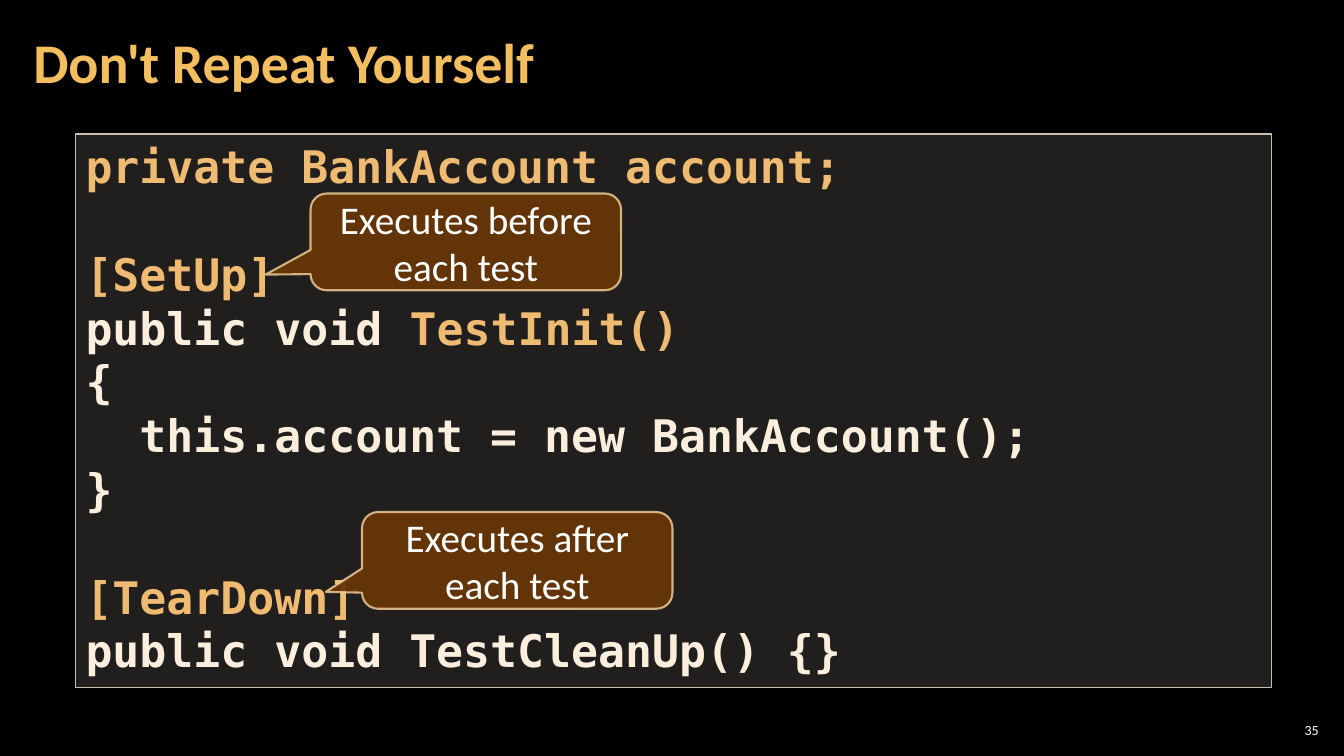
import pptx
import pptx.util
import pptx.dml.color
import pptx.enum.shapes
import pptx.enum.text
from lxml import etree

Pt, Inches = pptx.util.Pt, pptx.util.Inches
Shape = pptx.enum.shapes.MSO_SHAPE
Align = pptx.enum.text.PP_ALIGN
Anchor = pptx.enum.text.MSO_ANCHOR
GOLD, CREAM, WHITE = "EFBB72", "FBEEDC", "FFFFFF"
LINE = Pt(38.4)


def paint(target, color, alpha=100):
    """Colour a fill or a font; alpha is the opacity of a fill in percent."""
    if hasattr(target, "solid"):
        target.solid()
        tone = target.fore_color
    else:
        tone = target.color
    tone.rgb = pptx.dml.color.RGBColor.from_string(color)
    if alpha < 100:
        for node in target._xPr.iter("{*}srgbClr"):
            etree.SubElement(node, node.tag.replace("srgbClr", "alpha"), val=str(alpha * 1000))


def style(para, size, color, name="Calibri", bold=False, align=Align.LEFT):
    para.alignment = align
    para.font.size, para.font.name, para.font.bold = Pt(size), name, bold
    paint(para.font, color)


deck = pptx.Presentation()
deck.slide_width, deck.slide_height = Inches(13.33), Inches(7.5)
slide = deck.slides.add_slide(deck.slide_layouts[5])
paint(slide.background.fill, "000000")

title = slide.shapes.title
title.left, title.top, title.width, title.height = map(Inches, (0.21, 0.04, 10.47, 1.21))
frame = title.text_frame
frame.text = "Don't Repeat Yourself"
frame.vertical_anchor = Anchor.MIDDLE
frame.margin_left = frame.margin_right = Inches(0.12)
frame.margin_top = frame.margin_bottom = Inches(0.04)
frame.paragraphs[0].line_spacing = 0.9
style(frame.paragraphs[0], 40, "F3BE60", bold=True)

# Each code line: blank lines above it, then its coloured parts
code = [
    (0, [("private BankAccount account;", GOLD)]),
    (1, [("[SetUp]", GOLD)]),
    (0, [("public void ", CREAM), ("TestInit()", GOLD)]),
    (0, [("{", CREAM)]),
    (0, [("  this.account = new BankAccount();", CREAM)]),
    (0, [("}", CREAM)]),
    (1, [("[TearDown]", GOLD)]),
    (0, [("public void TestCleanUp() {}", CREAM)]),
]
panel = slide.shapes.add_shape(Shape.RECTANGLE, *map(Inches, (0.75, 1.33, 11.86, 5.49)))
panel.shadow.inherit = False
paint(panel.fill, "D9D5C7", 15)
paint(panel.line.fill, "C7BFAC")
panel.line.width = Pt(1)
frame = panel.text_frame
frame.word_wrap = True
frame.vertical_anchor = Anchor.TOP
for row, (gap, parts) in enumerate(code):
    para = frame.add_paragraph() if row else frame.paragraphs[0]
    para.line_spacing = LINE
    if gap:
        para.space_before = gap * LINE
    style(para, 32, CREAM, "DejaVu Sans Mono", True)
    for text, color in parts:
        run = para.add_run()
        run.text = text
        paint(run.font, color)

notes = [
    ("Executes before each test", 3.08, 1.92, (-0.645, 0.338)),
    ("Executes after each test", 3.59, 5.08, (-0.617, 0.326)),
]
for text, left, top, tip in notes:
    note = slide.shapes.add_shape(Shape.ROUNDED_RECTANGULAR_CALLOUT,
                                  *map(Inches, (left, top, 3.08, 0.96)))
    note.shadow.inherit = False
    note.adjustments[0], note.adjustments[1] = tip
    paint(note.fill, "663606", 95)
    paint(note.line.fill, "F8D49E", 80)
    note.line.width = Pt(1.5)
    frame = note.text_frame
    frame.word_wrap = True
    frame.vertical_anchor = Anchor.MIDDLE
    frame.text = text
    style(frame.paragraphs[0], 28, WHITE, align=Align.CENTER)

number = slide.shapes.add_textbox(*map(Inches, (12.65, 7.14, 0.47, 0.21)))
frame = number.text_frame
frame.word_wrap = True
frame.vertical_anchor = Anchor.MIDDLE
frame.margin_left = frame.margin_right = Inches(0.04)
frame.margin_top = frame.margin_bottom = Inches(0.04)
frame.text = "35"
style(frame.paragraphs[0], 10, WHITE, align=Align.RIGHT)

deck.save("out.pptx")
